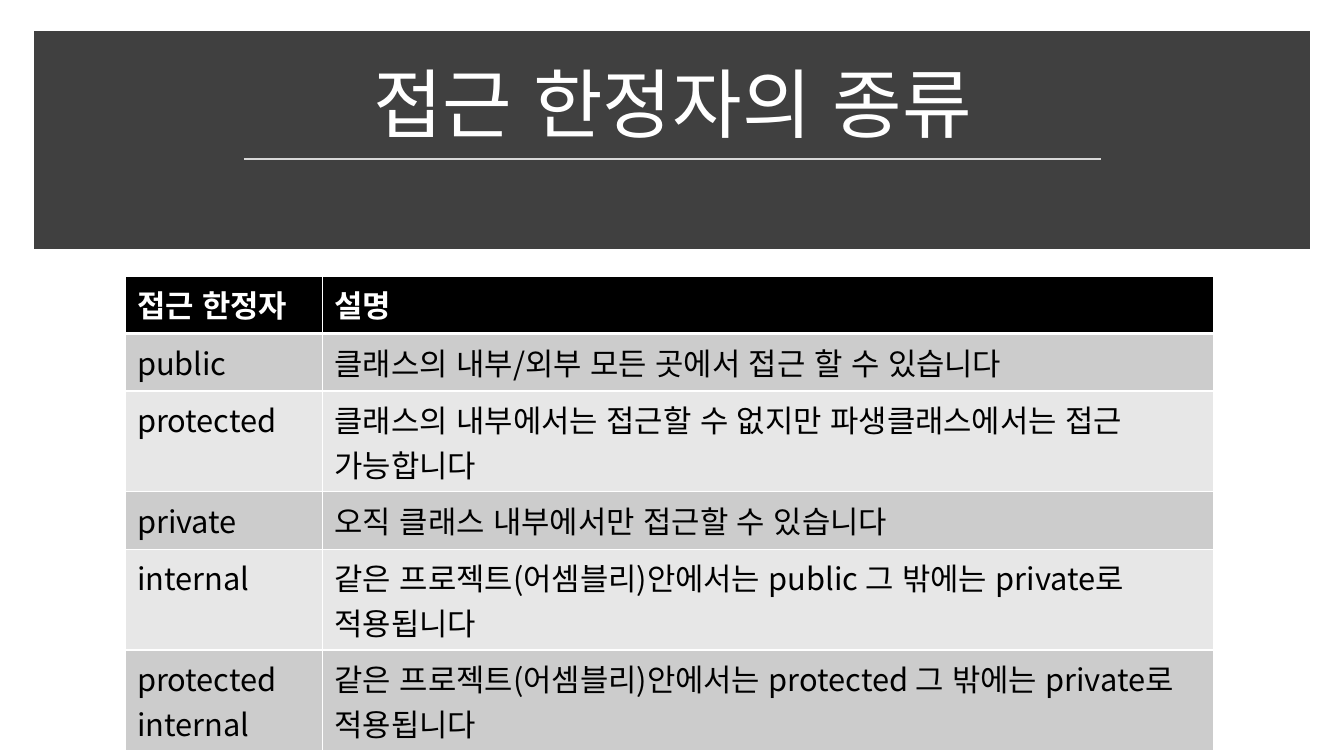
from lxml.etree import SubElement
from pptx import Presentation
from pptx.dml.color import RGBColor
from pptx.enum.lang import MSO_LANGUAGE_ID
from pptx.enum.shapes import MSO_CONNECTOR, MSO_SHAPE
from pptx.enum.text import MSO_ANCHOR, PP_ALIGN
from pptx.oxml.ns import qn
from pptx.util import Inches, Pt

FONT = "Noto Sans CJK KR"
ROWS = [
    ("접근 한정자", "설명"),
    ("public", "클래스의 내부/외부 모든 곳에서 접근 할 수 있습니다"),
    ("protected", "클래스의 내부에서는 접근할 수 없지만 파생클래스에서는 접근 가능합니다"),
    ("private", "오직 클래스 내부에서만 접근할 수 있습니다"),
    ("internal", "같은 프로젝트(어셈블리)안에서는 public 그 밖에는 private로 적용됩니다"),
    ("protected internal",
     "같은 프로젝트(어셈블리)안에서는 protected 그 밖에는 private로 적용됩니다"),
]
COL_WIDTHS = (1.96, 8.84)
ROW_HEIGHTS = (0.57, 0.57, 1, 0.57, 1, 1)


def rgb(color):
    return RGBColor.from_string(color)


def style_runs(p, size, color, bold=False):
    for r in p.runs:
        r.font.size = Pt(size)
        r.font.bold = bold
        r.font.language_id = MSO_LANGUAGE_ID.KOREAN
        r.font.color.rgb = rgb(color)
        r.font.name = FONT
        SubElement(r.font._element, qn("a:ea"), typeface=FONT)


def set_borders(cell, color, bottom_width):
    tcPr = cell._tc.get_or_add_tcPr()
    for side, width in (("L", 1), ("R", 1), ("T", 1), ("B", bottom_width)):
        ln = SubElement(tcPr, qn(f"a:ln{side}"), w=str(Pt(width)))
        fill = SubElement(ln, qn("a:solidFill"))
        SubElement(fill, qn("a:srgbClr"), val=color)


def add_banner(s, left, top, width, height):
    """Dark band with the centred title and a rule beneath it."""
    band = s.shapes.add_shape(MSO_SHAPE.RECTANGLE, Inches(left), Inches(top),
                              Inches(width), Inches(height))
    band.shadow.inherit = False
    band.fill.solid()
    band.fill.fore_color.rgb = rgb("404040")
    band.line.color.rgb = rgb("404040")
    band.line.width = Pt(10)
    SubElement(band.line._get_or_add_ln(), qn("a:miter"), lim="800000")

    title = s.shapes.add_textbox(Inches(left + 0.17), Inches(top + 0.13),
                                 Inches(width - 0.33), Inches(1.02))
    tf = title.text_frame
    tf.word_wrap = True
    tf.vertical_anchor = MSO_ANCHOR.BOTTOM
    tf.text = "접근 한정자의 종류"
    p = tf.paragraphs[0]
    p.alignment = PP_ALIGN.CENTER
    p.line_spacing = 0.9
    style_runs(p, 54, "FFFFFF")

    y = Inches(top + 1.2)
    rule = s.shapes.add_connector(MSO_CONNECTOR.STRAIGHT, Inches(left + 2.01), y,
                                  Inches(left + width - 2), y)
    rule.line.color.rgb = rgb("D9D9D9")
    rule.line.width = Pt(1.75)
    SubElement(rule._element.spPr, qn("a:effectLst"))


def add_modifier_table(s, left, top):
    table = s.shapes.add_table(
        len(ROWS), len(COL_WIDTHS), Inches(left), Inches(top),
        Inches(sum(COL_WIDTHS)), Inches(sum(ROW_HEIGHTS))).table
    for column, width in zip(table.columns, COL_WIDTHS):
        column.width = Inches(width)
    for i, (row, height, texts) in enumerate(zip(table.rows, ROW_HEIGHTS, ROWS)):
        row.height = Inches(height)
        header = i == 0
        fill = "000000" if header else ("E7E7E7", "CCCCCC")[i % 2]
        for cell, text in zip(row.cells, texts):
            cell.margin_left = cell.margin_right = Inches(0.12)
            cell.margin_top = cell.margin_bottom = Inches(0.06)
            set_borders(cell, "FFFFFF", 3 if header else 1)
            cell.fill.solid()
            cell.fill.fore_color.rgb = rgb(fill)
            cell.text = text
            style_runs(cell.text_frame.paragraphs[0], 22,
                       "FFFFFF" if header else "000000", header)


def main():
    prs = Presentation()
    prs.slide_width, prs.slide_height = Inches(13.33), Inches(7.5)
    s = prs.slides.add_slide(prs.slide_layouts[6])
    add_banner(s, 0.41, 0.38, 12.51, 2.02)
    add_modifier_table(s, 1.24, 2.74)
    prs.save("out.pptx")


if __name__ == "__main__":
    main()
